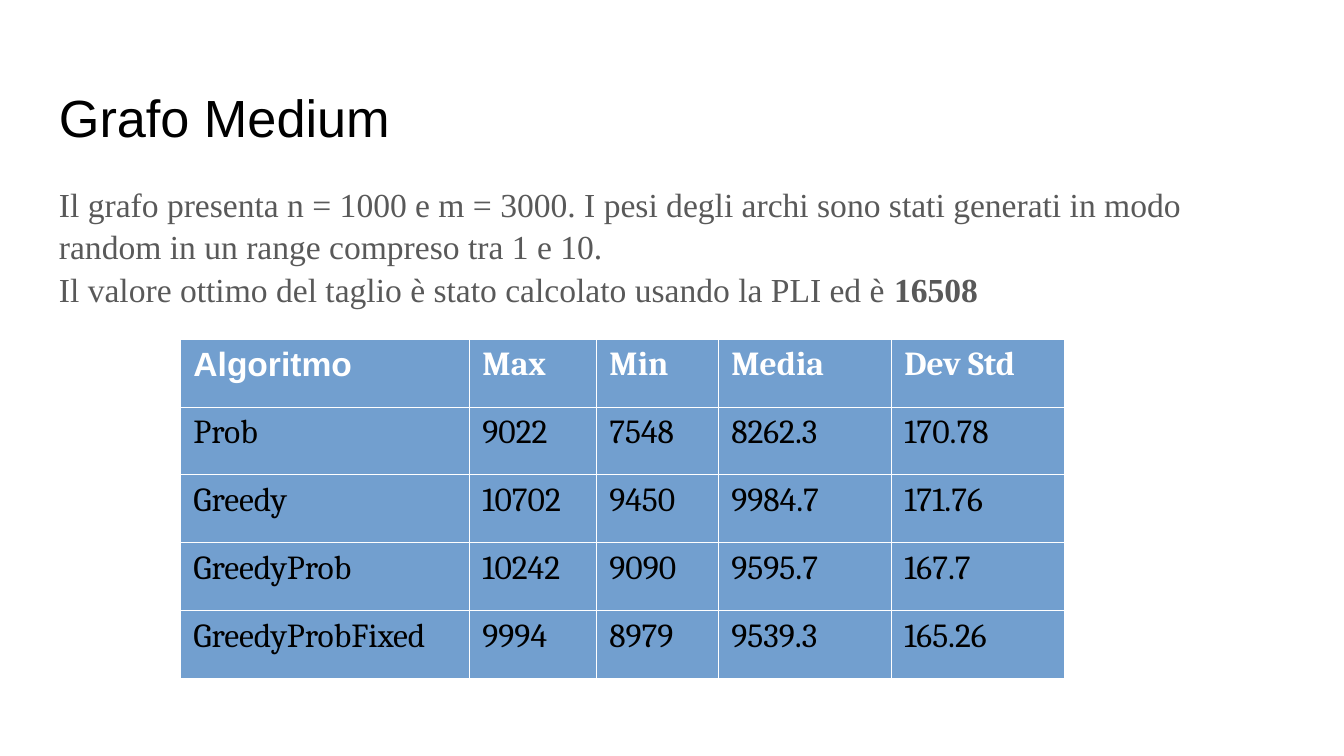
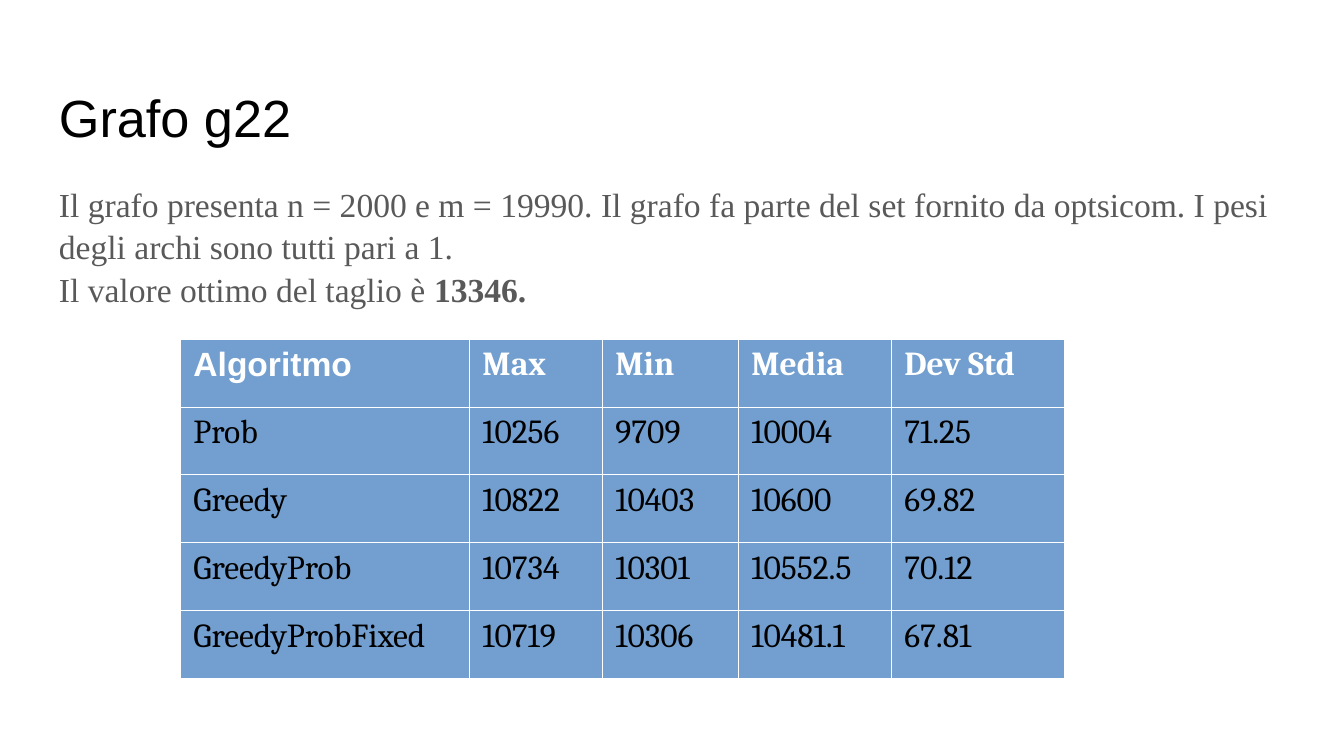
from lxml import etree
from pptx import Presentation
from pptx.dml.color import RGBColor
from pptx.enum.text import MSO_ANCHOR, MSO_AUTO_SIZE, PP_ALIGN
from pptx.oxml.ns import qn
from pptx.util import Pt

TOP = MSO_ANCHOR.TOP
LEFT = PP_ALIGN.LEFT
NO_FIT = MSO_AUTO_SIZE.NONE
EMU_PER_PX = 914400 / 134.4

BLACK, WHITE, GREY, BLUE = "000000", "FFFFFF", "595959", "729FCF"
SANS, SERIF, TABLE_SERIF = "Arial", "Times New Roman", "Cambria"

TITLE_BOX = (46, 66, 1253, 85)
BODY_BOX = (46, 169, 1253, 503)
TABLE_LEFT, TABLE_TOP, TABLE_HEIGHT = 180, 339, 339
HEADER = ("Algoritmo", "Max", "Min", "Media", "Dev Std")

GRAPHS = [
    {
        "title": "Grafo Medium",
        "body": [
            ("Il grafo presenta n = 1000 e m = 3000. I pesi degli archi sono stati "
             "generati in modo random in un range compreso tra 1 e 10.", ""),
            ("Il valore ottimo del taglio è stato calcolato usando la PLI ed è ", "16508"),
        ],
        "widths": (289, 127, 122, 173, 173),
        "results": [
            ("Prob", "9022", "7548", "8262.3", "170.78"),
            ("Greedy", "10702", "9450", "9984.7", "171.76"),
            ("GreedyProb", "10242", "9090", "9595.7", "167.7"),
            ("GreedyProbFixed", "9994", "8979", "9539.3", "165.26"),
        ],
    },
    {
        "title": "Grafo g22",
        "body": [
            ("Il grafo presenta n = 2000 e m = 19990. Il grafo fa parte del set "
             "fornito da optsicom. I pesi degli archi sono tutti pari a 1.", ""),
            ("Il valore ottimo del taglio è ", "13346."),
        ],
        "widths": (289, 133, 136, 153, 173),
        "results": [
            ("Prob", "10256", "9709", "10004", "71.25"),
            ("Greedy", "10822", "10403", "10600", "69.82"),
            ("GreedyProb", "10734", "10301", "10552.5", "70.12"),
            ("GreedyProbFixed", "10719", "10306", "10481.1", "67.81"),
        ],
    },
]


def px(length):
    return round(length * EMU_PER_PX)


def color(value):
    return RGBColor.from_string(value)


def style(font, name, size, value, bold=False):
    font.name = name
    font.size = Pt(size)
    font.color.rgb = color(value)
    font.bold = bold


def set_frame(frame):
    frame.word_wrap = True
    frame.auto_size = NO_FIT
    frame.vertical_anchor = TOP
    frame.margin_left = frame.margin_right = px(13)
    frame.margin_top = frame.margin_bottom = px(13)


def add_title(slide, text):
    title = slide.shapes.title
    title.left, title.top, title.width, title.height = map(px, TITLE_BOX)
    set_frame(title.text_frame)
    title.text_frame.text = text
    para = title.text_frame.paragraphs[0]
    para.alignment = LEFT
    para.line_spacing = 1.1
    style(para.runs[0].font, SANS, 28, BLACK)


def add_body(slide, lines):
    frame = slide.shapes.add_textbox(*map(px, BODY_BOX)).text_frame
    set_frame(frame)
    for index, parts in enumerate(lines):
        para = frame.add_paragraph() if index else frame.paragraphs[0]
        para.line_spacing = 1.05
        for text, bold in zip(parts, (False, True)):
            if text:
                span = para.add_run()
                span.text = text
                style(span.font, SERIF, 18, GREY, bold)


def set_borders(cell):
    properties = cell._tc.get_or_add_tcPr()
    for index, side in enumerate(("a:lnL", "a:lnR", "a:lnT", "a:lnB")):
        line = etree.Element(qn(side), w=str(Pt(0.06)))
        fill = etree.SubElement(line, qn("a:solidFill"))
        etree.SubElement(fill, qn("a:srgbClr"), val=WHITE)
        properties.insert(index, line)


def add_results(slide, widths, results):
    rows = [HEADER, *results]
    place = (TABLE_LEFT, TABLE_TOP, sum(widths), TABLE_HEIGHT)
    table = slide.shapes.add_table(len(rows), len(HEADER), *map(px, place)).table
    table.first_row = table.horz_banding = False
    for column, width in zip(table.columns, widths):
        column.width = px(width)
    for row_index, values in enumerate(rows):
        table.rows[row_index].height = px(TABLE_HEIGHT / len(rows))
        is_header = row_index == 0
        for column_index, text in enumerate(values):
            cell = table.cell(row_index, column_index)
            cell.text = text
            cell.fill.solid()
            cell.fill.fore_color.rgb = color(BLUE)
            set_borders(cell)
            name = SANS if is_header and column_index == 0 else TABLE_SERIF
            font = cell.text_frame.paragraphs[0].runs[0].font
            style(font, name, 18, WHITE if is_header else BLACK, is_header)


def main():
    deck = Presentation()
    deck.slide_width, deck.slide_height = px(1344), px(756)
    for graph in GRAPHS:
        slide = deck.slides.add_slide(deck.slide_layouts[5])
        add_title(slide, graph["title"])
        add_body(slide, graph["body"])
        add_results(slide, graph["widths"], graph["results"])
    deck.save("out.pptx")


if __name__ == "__main__":
    main()
